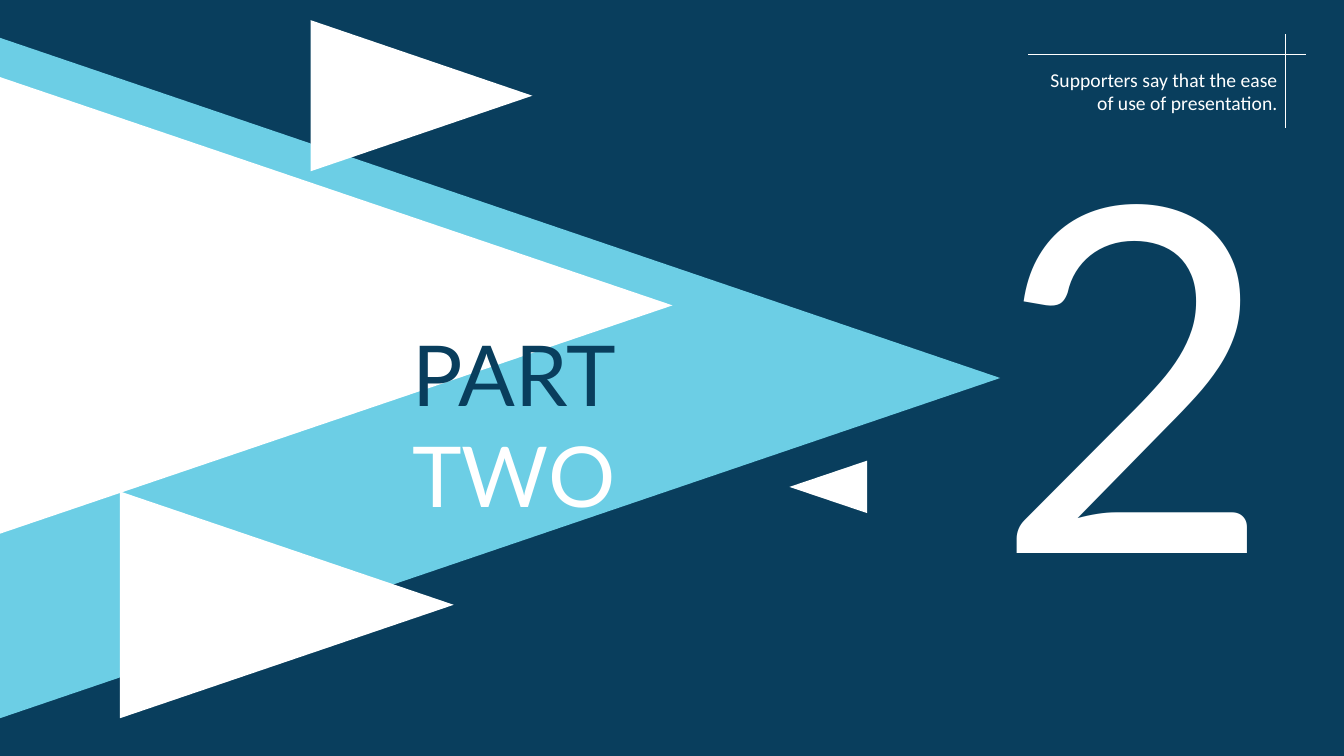
from dataclasses import dataclass

from lxml.etree import SubElement
from pptx import Presentation
from pptx.dml.color import RGBColor
from pptx.enum.shapes import MSO_CONNECTOR, MSO_SHAPE
from pptx.enum.text import MSO_AUTO_SIZE, PP_ALIGN
from pptx.oxml.ns import qn
from pptx.util import Inches, Pt


@dataclass(frozen=True)
class Theme:
    navy: RGBColor = RGBColor.from_string("093E5D")
    sky: RGBColor = RGBColor.from_string("6CCEE5")
    white: RGBColor = RGBColor.from_string("FFFFFF")
    digit: int = 344
    title: int = 60
    note: int = 14
    rule: float = 0.5
    head: str = "Lato"
    body: str = "Calibri"


THEME = Theme()


def add_arrow(slide, left, mid, base, depth, fill, turn=90):
    shape = slide.shapes.add_shape(
        MSO_SHAPE.ISOSCELES_TRIANGLE,
        Inches(left + (depth - base) / 2), Inches(mid - depth / 2),
        Inches(base), Inches(depth))
    shape.rotation = turn
    shape.shadow.inherit = False
    shape.fill.solid()
    shape.fill.fore_color.rgb = fill
    shape.line.fill.background()


def add_rule(slide, x1, y1, x2, y2):
    line = slide.shapes.add_connector(
        MSO_CONNECTOR.STRAIGHT,
        Inches(x1), Inches(y1), Inches(x2), Inches(y2))
    line.line.color.rgb = THEME.white
    line.line.width = Pt(THEME.rule)
    SubElement(line.element.spPr, qn("a:effectLst"))


def add_text(slide, text, box, size, font, colors=(THEME.white,),
             align=PP_ALIGN.LEFT, wrap=True):
    shape = slide.shapes.add_textbox(*map(Inches, box))
    frame = shape.text_frame
    frame.word_wrap = wrap
    frame.auto_size = MSO_AUTO_SIZE.SHAPE_TO_FIT_TEXT
    para = frame.paragraphs[0]
    para.alignment = align
    for row, (words, color) in enumerate(zip(text.split("\n"), colors)):
        if row:
            para.add_line_break()
        run = para.add_run()
        run.text = words
        run.font.size = Pt(size)
        run.font.name = font
        run.font.color.rgb = color


def main():
    deck = Presentation()
    deck.slide_width = Inches(13.33)
    deck.slide_height = Inches(7.5)
    slide = deck.slides.add_slide(deck.slide_layouts[6])
    slide.background.fill.solid()
    slide.background.fill.fore_color.rgb = THEME.navy

    add_arrow(slide, 0, 3.75, 6.75, 9.92, THEME.sky)
    add_text(slide, "2", (9.77, 0.66, 2.69, 5.89), THEME.digit, THEME.head,
             wrap=False)
    add_text(slide, "Supporters say that the ease of use of presentation.",
             (10.2, 0.62, 2.57, 0.57), THEME.note, THEME.body,
             align=PP_ALIGN.RIGHT)
    add_rule(slide, 10.2, 0.54, 12.95, 0.54)
    add_rule(slide, 12.75, 0.34, 12.75, 1.27)
    for left, mid, base, depth, turn in (
            (3.08, 0.95, 1.5, 2.2, 90),
            (1.19, 6, 2.25, 3.31, 90),
            (7.83, 4.83, 0.52, 0.77, 270),
            (0, 3.03, 4.53, 6.67, 90)):
        add_arrow(slide, left, mid, base, depth, THEME.white, turn)
    add_text(slide, "PART\nTWO", (3.99, 3.15, 4.29, 1.11), THEME.title,
             THEME.head, colors=(THEME.navy, THEME.white))
    deck.save("out.pptx")


if __name__ == "__main__":
    main()
